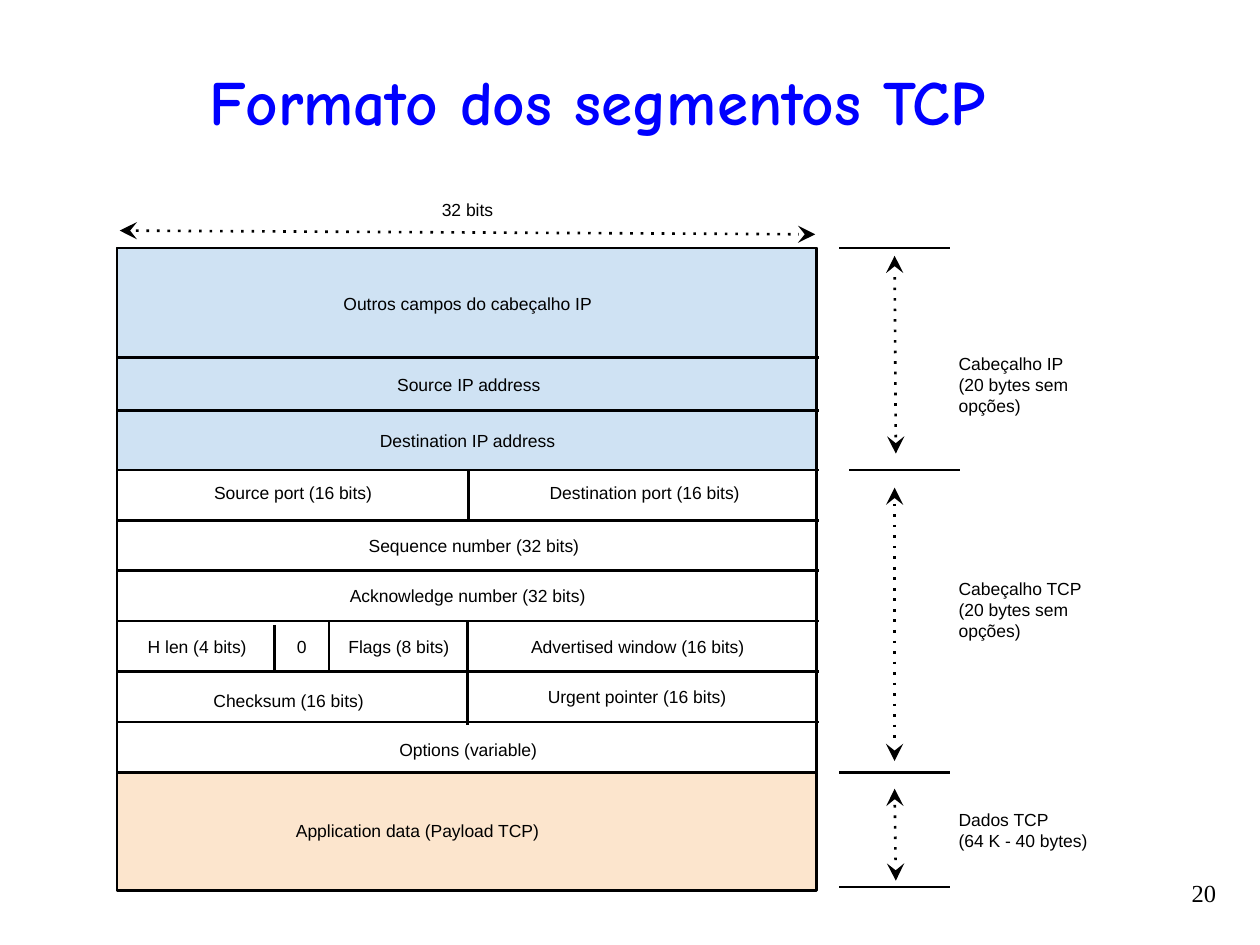
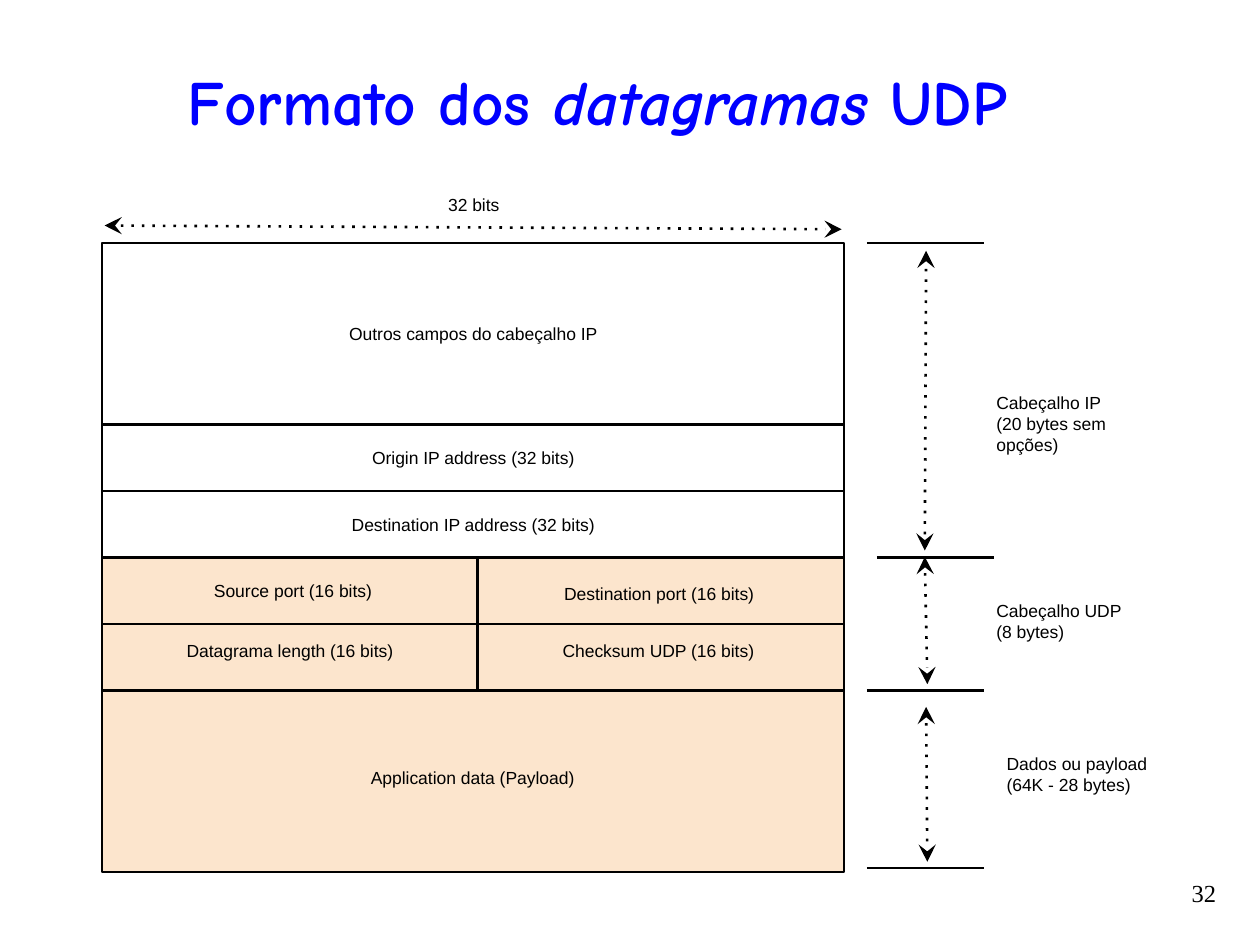
from lxml import etree
from pptx import Presentation
from pptx.dml.color import RGBColor
from pptx.enum.shapes import MSO_CONNECTOR, MSO_SHAPE
from pptx.enum.text import MSO_ANCHOR, PP_ALIGN
from pptx.oxml.ns import qn
from pptx.util import Inches, Pt

COLORS = {
    "ink": "000000",
    "title": "0000FF",
    "ip": "CFE2F3",
    "payload": "FCE5CD",
}
FORMATS = {
    "title": {"name": "Comic Neue", "size": Pt(36), "bold": True},
    "label": {"name": "Arial", "size": Pt(10)},
    "number": {"name": "Times New Roman", "size": Pt(14)},
}


def color(name):
    return RGBColor.from_string(COLORS[name])


class Deck:
    def __init__(self):
        self.prs = Presentation()
        self.prs.slide_width = Inches(10)
        self.prs.slide_height = Inches(7.5)
        self.s = None

    def slide(self, title, number):
        self.s = self.prs.slides.add_slide(self.prs.slide_layouts[6])
        self.text([number], (8.75, 6.92, 1, 0.42), "number", PP_ALIGN.RIGHT,
                  MSO_ANCHOR.TOP, 0.05)
        self.text([title], (0.33, 0.42, 8.82, 0.75), "title", PP_ALIGN.CENTER,
                  inset=0.05)

    def text(self, lines, box, style="label", align=PP_ALIGN.LEFT,
             anchor=MSO_ANCHOR.MIDDLE, inset=0.1):
        tf = self.s.shapes.add_textbox(*map(Inches, box)).text_frame
        frame = {
            "word_wrap": True, "vertical_anchor": anchor,
            "margin_left": Inches(0.1), "margin_right": Inches(0.1),
            "margin_top": Inches(inset), "margin_bottom": Inches(inset),
        }
        for key, value in frame.items():
            setattr(tf, key, value)
        for i, line in enumerate(lines):
            p = tf.add_paragraph() if i else tf.paragraphs[0]
            p.alignment = align
            for j, part in enumerate(line.split("*")):
                r = p.add_run()
                r.text = part
                for key, value in FORMATS[style].items():
                    setattr(r.font, key, value)
                r.font.italic = j % 2 == 1
                r.font.color.rgb = color("title" if style == "title" else "ink")

    def fields(self, labels):
        for label, box in labels:
            self.text([label], box, align=PP_ALIGN.CENTER)

    def rect(self, x, y, w, h, fill=None):
        sp = self.s.shapes.add_shape(MSO_SHAPE.RECTANGLE, *map(Inches, (x, y, w, h)))
        sp.shadow.inherit = False
        if fill:
            sp.fill.solid()
            sp.fill.fore_color.rgb = color(fill)
        else:
            sp.fill.background()
        sp.line.color.rgb = color("ink")
        sp.line.width = Pt(1.5)

    def line(self, x1, y1, x2, y2):
        cx = self.s.shapes.add_connector(
            MSO_CONNECTOR.STRAIGHT, *map(Inches, (x1, y1, x2, y2)))
        cx.line.color.rgb = color("ink")
        cx.line.width = Pt(1.5)
        etree.SubElement(cx._element.spPr, qn("a:effectLst"))
        return cx

    def span(self, *ends):
        ln = self.line(*ends).line._get_or_add_ln()
        etree.SubElement(ln, qn("a:prstDash"), val="dot")
        for tag in ("a:headEnd", "a:tailEnd"):
            etree.SubElement(ln, qn(tag), type="stealth", w="lg", len="lg")

    def brackets(self, x, width, levels, spans):
        for i, y in enumerate(levels):
            left = x + 0.08 if i == 1 else x
            self.line(left, y, left + width, y)
        for ends in spans:
            self.span(*ends)


def tcp_slide(d):
    d.slide("Formato dos segmentos TCP", "20")
    left, width, right = 0.93, 5.55, 6.5
    d.rect(left, 1.97, width, 1.76, "ip")
    d.rect(left, 1.97, width, 4.16)
    d.rect(left, 6.13, width, 0.94, "payload")
    rows = [2.84, 3.26] + [3.73 + 0.4 * i for i in range(6)]
    for y in rows:
        d.line(left, y, right, y)
    for x, top, bottom in [(3.72, 3.74, 4.12), (3.71, 4.94, 5.75),
                           (2.61, 4.94, 5.32), (2.18, 4.96, 5.33)]:
        d.line(x, top, x, bottom)
    d.span(0.95, 1.83, 6.47, 1.86)
    d.brackets(6.66, 0.88, [1.97, 3.73, 6.13, 7.04], [
        (7.11, 3.6, 7.1, 2.03),
        (7.1, 3.87, 7.1, 6.04),
        (7.1, 6.26, 7.11, 6.99),
    ])
    d.fields([
        ("32 bits", (3.2, 1.46, 1.02, 0.4)),
        ("Outros campos do cabeçalho IP", (1.97, 2.1, 3.48, 0.61)),
        ("Source IP address", (1.98, 2.85, 3.48, 0.4)),
        ("Destination IP address", (2.42, 3.3, 2.58, 0.4)),
        ("Source port (16 bits)", (1.42, 3.72, 1.81, 0.38)),
        ("Destination port (16 bits)", (4.14, 3.72, 1.95, 0.38)),
        ("Sequence number (32 bits)", (2.6, 4.13, 2.32, 0.4)),
        ("Acknowledge number (32 bits)", (2.37, 4.53, 2.68, 0.4)),
        ("H len (4 bits)", (0.95, 4.97, 1.23, 0.32)),
        ("0", (2.25, 4.97, 0.29, 0.32)),
        ("Flags (8 bits)", (2.55, 4.94, 1.23, 0.38)),
        ("Advertised window (16 bits)", (3.95, 4.94, 2.22, 0.38)),
        ("Checksum (16 bits)", (1.35, 5.36, 1.88, 0.4)),
        ("Urgent pointer (16 bits)", (4.08, 5.33, 1.95, 0.4)),
        ("Options (variable)", (2.81, 5.75, 1.81, 0.4)),
    ])
    d.text(["Application data (Payload TCP)"], (2.25, 6.39, 2.68, 0.4))
    d.text(["Cabeçalho IP", "(20 bytes sem", "opções)"], (7.51, 2.75, 1.75, 0.61))
    d.text(["Cabeçalho TCP", "(20 bytes sem", "opções)"], (7.51, 4.53, 1.75, 0.61))
    d.text(["Dados TCP", "(64 K - 40 bytes)"], (7.51, 6.28, 1.57, 0.61))


def udp_slide(d):
    d.slide("Formato dos *datagramas* UDP", "32")
    left, middle, right = 0.81, 3.79, 6.7
    width, block = right - left, 1.44
    top, address, payload = 1.93, 3.37, 5.48
    row = (payload - address) / 4
    ports = address + 2 * row
    d.rect(left, top, width, block)
    for i in range(2):
        d.rect(left, address + i * row, width, row)
        d.rect(left, ports + i * row, middle - left, row, "payload")
        d.rect(middle, ports + i * row, right - middle, row, "payload")
    d.rect(left, payload, width, block, "payload")
    d.span(0.83, 1.79, 6.68, 1.82)
    d.brackets(6.88, 0.93, [top, ports, payload, 6.89], [
        (7.34, 4.37, 7.35, 1.99),
        (7.34, 4.42, 7.36, 5.43),
        (7.35, 5.61, 7.36, 6.84),
    ])
    d.fields([
        ("32 bits", (3.22, 1.43, 1.08, 0.39)),
        ("Outros campos do cabeçalho IP", (1.91, 2.35, 3.69, 0.6)),
        ("Origin IP address (32 bits)", (1.91, 3.33, 3.69, 0.6)),
        ("Destination IP address (32 bits)", (1.91, 3.86, 3.69, 0.6)),
        ("Source port (16 bits)", (1.26, 4.39, 2.13, 0.6)),
        ("Destination port (16 bits)", (4.14, 4.41, 2.18, 0.6)),
        ("Datagrama length (16 bits)", (0.96, 4.86, 2.68, 0.6)),
        ("Checksum UDP (16 bits)", (4.01, 4.86, 2.43, 0.6)),
        ("Application data (Payload)", (2.51, 5.87, 2.48, 0.6)),
    ])
    d.text(["Cabeçalho IP", "(20 bytes sem", "opções)"], (7.81, 3.06, 1.86, 0.6))
    d.text(["Cabeçalho UDP", "(8 bytes)"], (7.81, 4.63, 1.86, 0.6))
    d.text(["Dados ou payload", "(64K - 28 bytes)"], (7.89, 5.84, 1.86, 0.6))


def main():
    d = Deck()
    tcp_slide(d)
    udp_slide(d)
    d.prs.save("out.pptx")


if __name__ == "__main__":
    main()
